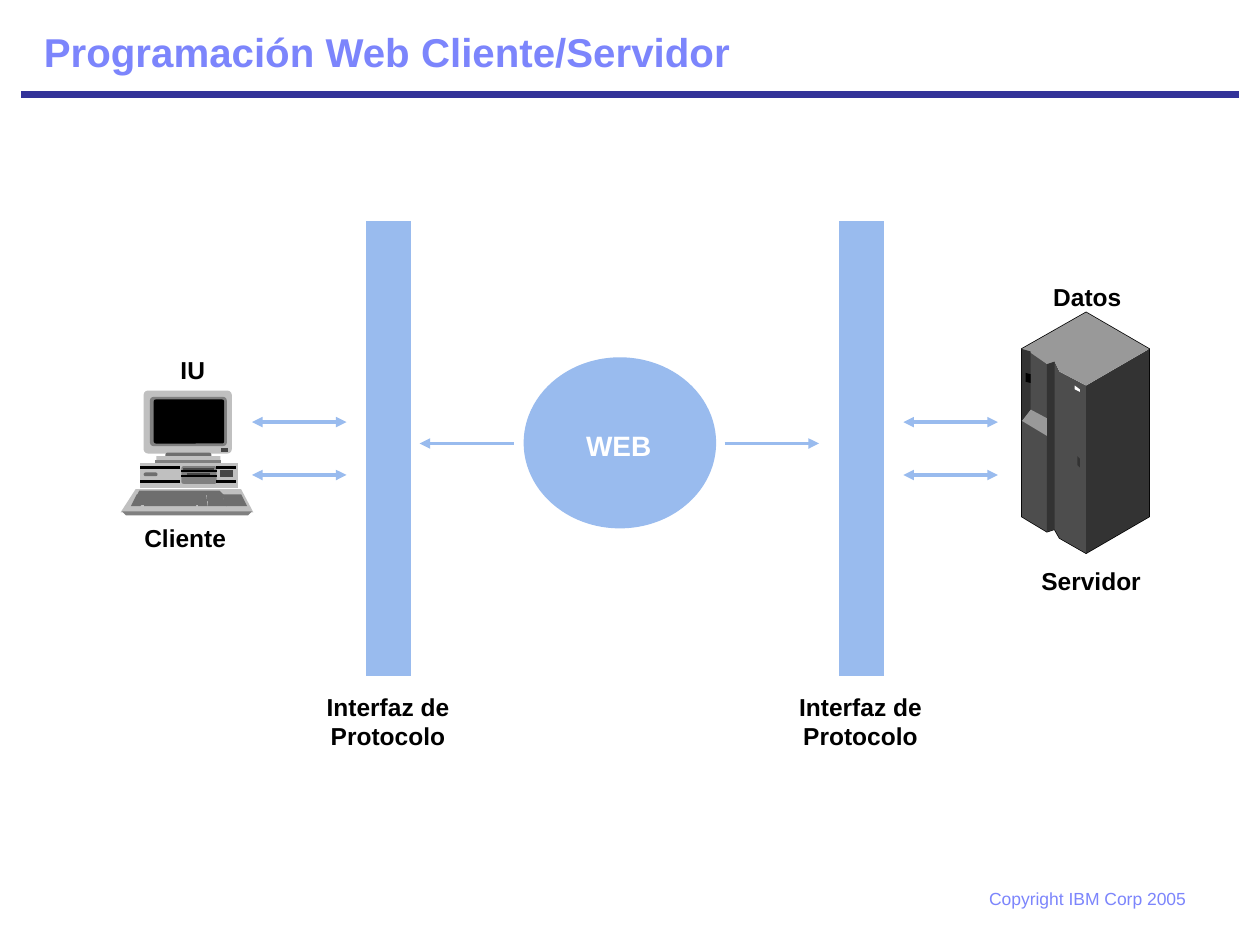
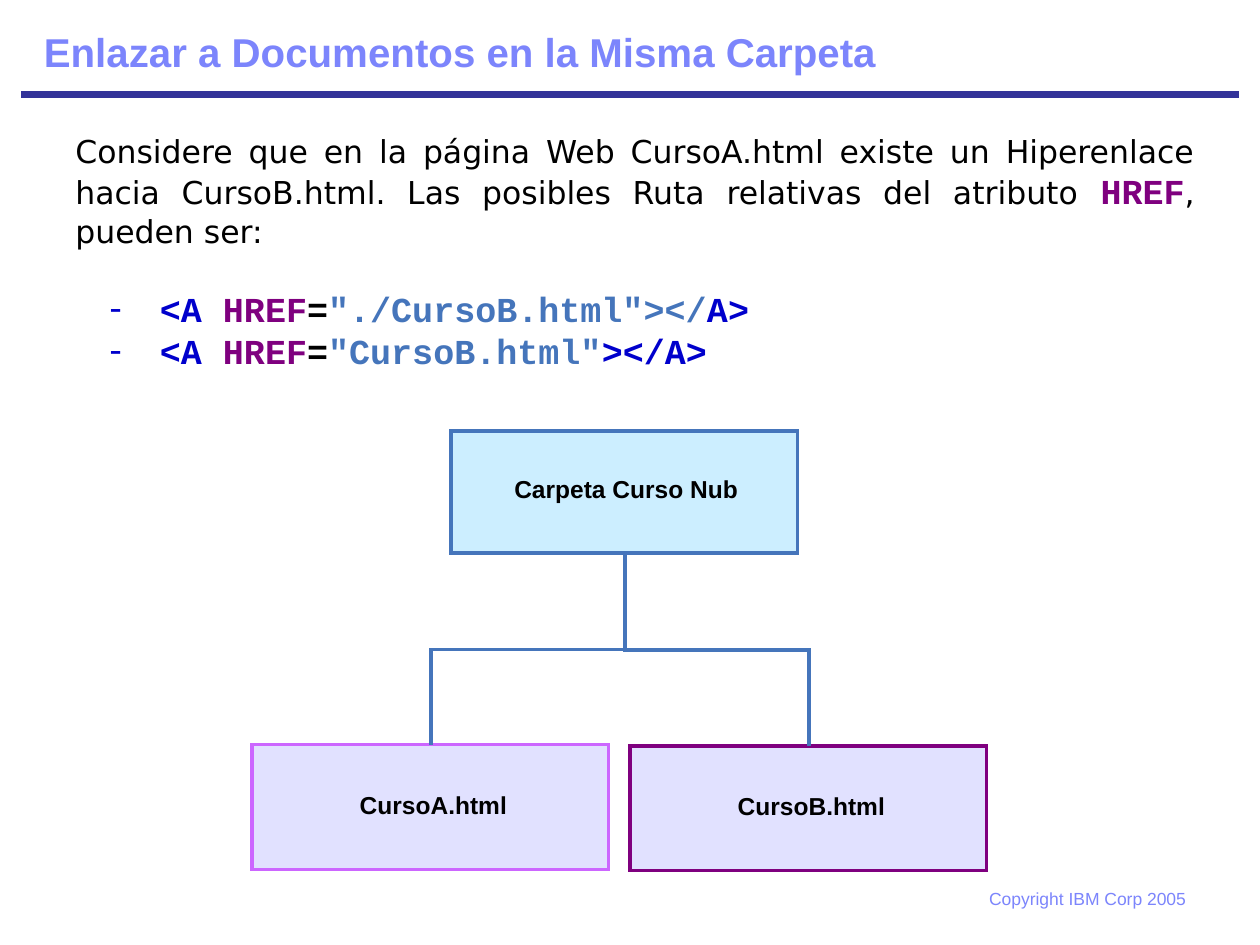
from lxml import etree
from pptx import Presentation
from pptx.dml.color import RGBColor
from pptx.enum.shapes import MSO_CONNECTOR as LINK, MSO_SHAPE as SHAPE
from pptx.enum.text import MSO_ANCHOR as ANCHOR, MSO_AUTO_SIZE as AUTO, PP_ALIGN as ALIGN
from pptx.oxml.ns import qn
from pptx.util import Inches, Pt

COLUMNS, ROWS = 100, 75

WHITE = RGBColor(0xFF, 0xFF, 0xFF)
BLACK = RGBColor(0x00, 0x00, 0x00)
LAVENDER = RGBColor(0x7C, 0x85, 0xFC)
NAVY = RGBColor(0x33, 0x33, 0x99)
SKY = RGBColor(0x99, 0xBB, 0xEE)
STEEL = RGBColor(0x45, 0x75, 0xBB)
CODE_BLUE = RGBColor(0x00, 0x00, 0xCC)
PURPLE = RGBColor(0x7F, 0x00, 0x7F)
ORCHID = RGBColor(0xCC, 0x66, 0xFF)
PALE_LILAC = RGBColor(0xE1, 0xE1, 0xFF)
PALE_CYAN = RGBColor(0xCC, 0xEE, 0xFF)
CASE = RGBColor(0xC0, 0xC0, 0xC0)
SHADE = RGBColor(0x80, 0x80, 0x80)
KEYS = RGBColor(0x6E, 0x6E, 0x6E)
SLOT = RGBColor(0x46, 0x46, 0x46)
TOWER_TOP = RGBColor(0x99, 0x99, 0x99)
TOWER_FRONT = RGBColor(0x4D, 0x4D, 0x4D)
TOWER_SIDE = RGBColor(0x33, 0x33, 0x33)

SANS, CODE, BODY = "Arial", "Courier New", "DejaVu Sans"


class Deck:
    """Holds the presentation, its style and the current slide; lengths are grid units."""

    def __init__(self):
        self.prs = Presentation()
        self.prs.slide_width, self.prs.slide_height = Inches(10), Inches(7.5)
        self.shapes = None

    def x(self, columns):
        return round(self.prs.slide_width * columns / COLUMNS)

    def y(self, rows):
        return round(self.prs.slide_height * rows / ROWS)

    def box(self, left, top, width, height):
        return self.x(left), self.y(top), self.x(width), self.y(height)

    def new_slide(self, title):
        self.shapes = self.prs.slides.add_slide(self.prs.slide_layouts[6]).shapes
        self.line((1.7, 7.5), (98.3, 7.5), NAVY, 4.5)
        self.text((75.1, 70, 20, 2.7), "Copyright IBM Corp 2005", size=10, bold=False,
                  color=LAVENDER, align=ALIGN.RIGHT)
        self.text((2.5, 1.6, 92, 5), title, size=23, color=LAVENDER, align=ALIGN.LEFT,
                  anchor=ANCHOR.MIDDLE, wrap=True)

    def text(self, place, *paragraphs, align=ALIGN.CENTER, anchor=ANCHOR.TOP, wrap=False, **font):
        """Each paragraph is a string or a list of (string, font overrides)."""
        frame = self.shapes.add_textbox(*self.box(*place)).text_frame
        frame.word_wrap, frame.vertical_anchor = wrap, anchor
        frame.auto_size = AUTO.NONE if wrap else AUTO.SHAPE_TO_FIT_TEXT
        for i, content in enumerate(paragraphs):
            paragraph = frame.add_paragraph() if i else frame.paragraphs[0]
            paragraph.alignment = align
            runs = [(content, {})] if isinstance(content, str) else content
            for words, overrides in runs:
                self.run(paragraph, words, **{**font, **overrides})
        return frame

    @staticmethod
    def run(paragraph, words, size=14, name=SANS, color=BLACK, bold=True):
        run = paragraph.add_run()
        run.text = words
        run.font.size, run.font.name, run.font.bold = Pt(size), name, bold
        run.font.color.rgb = color

    @staticmethod
    def paint(shape, fill, line=None, width=1.0):
        shape.shadow.inherit = False
        if fill is None:
            shape.fill.background()
        else:
            shape.fill.solid()
            shape.fill.fore_color.rgb = fill
        if line is None:
            shape.line.fill.background()
        else:
            shape.line.color.rgb = line
            shape.line.width = Pt(width)
            etree.SubElement(shape.line._get_or_add_ln(), qn("a:miter"), lim="800000")

    def shape(self, place, fill, line=None, width=1.0, kind=SHAPE.RECTANGLE, corner=None):
        shape = self.shapes.add_shape(kind, *self.box(*place))
        if corner is not None:
            shape.adjustments[0] = corner
        self.paint(shape, fill, line, width)

    def polygon(self, points, fill, line=None, width=1.0):
        corners = [(self.x(column), self.y(row)) for column, row in points]
        builder = self.shapes.build_freeform(*corners[0], scale=1.0)
        builder.add_line_segments(corners[1:], close=True)
        self.paint(builder.convert_to_shape(), fill, line, width)

    def line(self, start, end, color, width, heads=(), kind=LINK.STRAIGHT):
        """heads may name headEnd, at the start, and tailEnd, at the end."""
        link = self.shapes.add_connector(kind, self.x(start[0]), self.y(start[1]),
                                         self.x(end[0]), self.y(end[1]))
        link.line.color.rgb = color
        link.line.width = Pt(width)
        outline = link.line._get_or_add_ln()
        etree.SubElement(outline, qn("a:miter"), lim="800000")
        for head in heads:
            etree.SubElement(outline, qn(f"a:{head}"), type="triangle")
        etree.SubElement(link._element.spPr, qn("a:effectLst"))
        return link

    def branch(self, parent, child, color, width):
        """Elbow that leaves the parent downwards: a turned, mirrored horizontal elbow."""
        side = 1 if child[0] > parent[0] else -1
        middle_x, middle_y = (parent[0] + child[0]) / 2, (parent[1] + child[1]) / 2
        half_run = side * (child[1] - parent[1]) / 2
        half_rise = abs(child[0] - parent[0]) / 2
        link = self.line((middle_x + half_run, middle_y - half_rise),
                         (middle_x - half_run, middle_y + half_rise),
                         color, width, kind=LINK.ELBOW)
        link._element.spPr.find(qn("a:xfrm")).set("rot", str((180 + 90 * side) * 60000))


def draw_client(deck):
    deck.shape((11.2, 36.8, 7.6, 1.9), CASE, CASE)
    deck.shape((11.4, 37.5, 1.1, 0.3), KEYS, kind=SHAPE.ROUNDED_RECTANGLE, corner=0.5)
    rounded_parts = [((14.4, 37, 2.8, 1.4), SHADE, 0.12), ((11.4, 31, 7, 5), CASE, 0.07),
                     ((11.9, 31.5, 6.1, 3.9), SHADE, 0.07), ((12.2, 31.7, 5.6, 3.5), BLACK, 0.05)]
    for place, fill, corner in rounded_parts:
        deck.shape(place, fill, kind=SHAPE.ROUNDED_RECTANGLE, corner=corner)
    for left, width in ((11.2, 3), (17.2, 1.5)):
        for top in (37.05, 38.2):
            deck.shape((left, top, width, 0.1), BLACK, BLACK)
    for place in ((14.6, 37.2, 2.3, 0.1), (14.9, 37.6, 1.7, 0.1), (17.5, 37.4, 0.9, 0.4)):
        deck.shape(place, SLOT, SLOT)
    for row in (37.4, 37.8):
        deck.line((14.4, row), (17.2, row), BLACK, 1)

    deck.polygon([(10.8, 38.9), (19.1, 38.9), (20, 40.6), (9.7, 40.6)], CASE, CASE)
    deck.polygon([(20, 40.6), (19.7, 40.9), (10, 40.9), (9.7, 40.6)], SHADE)
    key_blocks = [
        [(11, 39.2), (17.6, 39.2), (17.4, 39), (11.1, 39)],
        [(16.3, 39.3), (16.4, 40.1), (15.8, 40.1), (15.8, 40), (15.5, 40), (15.5, 40.1),
         (11.5, 40.1), (11.5, 40), (11.2, 40), (11.1, 40.1), (10.5, 40.1), (10.9, 39.3)],
        [(16.5, 39.3), (16.5, 39.7), (17.7, 39.7), (17.6, 39.3)],
        [(17, 39.8), (16.6, 39.8), (16.6, 40.1), (17.9, 40.1), (17.8, 39.8), (17.3, 39.8),
         (17, 39.7)],
        [(18, 40.1), (19.5, 40.1), (19.1, 39.3), (17.7, 39.3)],
    ]
    for block in key_blocks:
        deck.polygon(block, KEYS, KEYS)

    deck.shape((13.2, 36, 3.5, 0.5), KEYS, KEYS, kind=SHAPE.ROUNDED_RECTANGLE, corner=0.17)
    deck.shape((17.6, 35.6, 0.4, 0.2), SLOT, SLOT)
    deck.shape((12.4, 36.2, 5.1, 0.4), CASE)
    deck.shape((12.4, 36.6, 5.1, 0.1), SHADE, SHADE)
    deck.text((11.3, 27.7, 8, 3.4), "IU")
    deck.text((8.7, 41, 12, 3.4), "Cliente")


def draw_server(deck):
    back, right, ridge = (86.2, 24.8), (91.2, 27.7), (86.2, 30.6)
    right_foot, foot, left_foot, left = (91.2, 41), (86.2, 43.9), (81.1, 41), (81.1, 27.7)
    notch_foot = [(84.1, 42.7), (83.7, 42), (83.1, 42.2)]
    notch = [(84.1, 29.5), (83.7, 28.7), (83.1, 28.9)]
    deck.polygon([back, right, right_foot, foot, *notch_foot, left_foot, left],
                 None, BLACK, 0.88)
    faces = [
        ([ridge, *notch, (82, 27.8), left, left_foot, *reversed(notch_foot), foot], TOWER_FRONT),
        ([right, ridge, foot, right_foot], TOWER_SIDE),
        ([(85.7, 36.4), (85.5, 36.2), (85.5, 36.9), (85.7, 37.1)], TOWER_SIDE),
        ([(85.7, 30.9), (85.3, 30.6), (85.3, 30.9), (85.7, 31.1)], WHITE),
        ([notch[0], ridge, right, back, left, (81.8, 28), notch[2], notch[1]], TOWER_TOP),
        ([notch[1], notch[2], notch_foot[2], notch_foot[1]], TOWER_SIDE),
        ([(83.1, 34.6), (83.1, 33.2), (81.8, 32.5), (81.1, 33.4)], TOWER_TOP),
        ([left, (81.1, 33.4), (81.8, 32.5), (81.8, 27.9)], TOWER_SIDE),
        ([(81.8, 30.4), (81.8, 29.7), (81.4, 29.6), (81.4, 30.3)], BLACK),
    ]
    for points, fill in faces:
        deck.polygon(points, fill)
    deck.text((80.3, 21.9, 12, 3.4), "Datos")
    deck.text((79.6, 44.4, 14, 3.4), "Servidor")


def client_server_slide(deck):
    deck.new_slide("Programación Web Cliente/Servidor")
    deck.shape((41.7, 28.5, 15, 13.3), SKY, SKY, 2, SHAPE.OVAL)
    draw_client(deck)
    draw_server(deck)
    deck.text((45, 33.5, 8.2, 3.7), "WEB", size=16, color=WHITE, wrap=True)

    for interface in (29.2, 66.7):
        deck.shape((interface, 17.7, 3.3, 35.8), SKY, SKY, 2)
        deck.text((interface - 6.4, 54.4, 16, 5.7), "Interfaz de", "Protocolo")

    both = ("headEnd", "tailEnd")
    arrows = [(left, row, both) for left in (20, 71.7) for row in (33.5, 37.7)]
    arrows += [(33.3, 35.2, both[:1]), (57.5, 35.2, both[1:])]
    for left, row, heads in arrows:
        deck.line((left, row), (left + 7.5, row), SKY, 2, heads)


def code_bullet(paragraph):
    properties = paragraph._p.get_or_add_pPr()
    properties.set("marL", str(Inches(0.67)))
    properties.set("indent", str(Inches(-0.4)))
    color = etree.SubElement(properties, qn("a:buClr"))
    etree.SubElement(color, qn("a:srgbClr"), val=str(CODE_BLUE))
    etree.SubElement(properties, qn("a:buFont"), typeface=BODY)
    etree.SubElement(properties, qn("a:buChar"), char="-")


def same_folder_slide(deck):
    deck.new_slide("Enlazar a Documentos en la Misma Carpeta")
    code = {"name": CODE, "size": 20, "bold": True}
    blue, purple, black, steel = (
        {**code, "color": color} for color in (CODE_BLUE, PURPLE, BLACK, STEEL))
    opening = [("<A ", blue), ("HREF", purple), ("=", black)]
    body = deck.text(
        (5, 10, 90.8, 20.4),
        [("Considere que en la página Web CursoA.html existe un Hiperenlace hacia CursoB.html. "
          "Las posibles Ruta relativas del atributo ", {}),
         ("HREF", purple), (", pueden ser:", {})],
        [*opening, ('"./CursoB.html"></', steel), ("A>", blue)],
        [*opening, ('"CursoB.html"', steel), ("></A>", blue)],
        align=ALIGN.JUSTIFY, wrap=True, name=BODY, size=18, bold=False)
    for link_example in body.paragraphs[1:]:
        code_bullet(link_example)
    body.paragraphs[1].space_before = Pt(21.5)

    pages = [("CursoA.html", 20, 59.1, ORCHID), ("CursoB.html", 50, 59.2, PURPLE)]
    for page, left, top, border in pages:
        deck.shape((left, top, 28.3, 9.9), PALE_LILAC, border, 2)
        deck.text((left + 5.4, top + 3.1, 18, 3.4), page)
    deck.shape((35.8, 34.2, 27.5, 9.7), PALE_CYAN, STEEL, 2)
    deck.text((37.2, 37.1, 25, 3.4), "Carpeta Curso Nub")
    for page, left, top, border in pages:
        deck.branch((49.6, 44), (left + 14.2, top), STEEL, 2)


def main():
    deck = Deck()
    client_server_slide(deck)
    same_folder_slide(deck)
    deck.prs.save("out.pptx")


if __name__ == "__main__":
    main()
